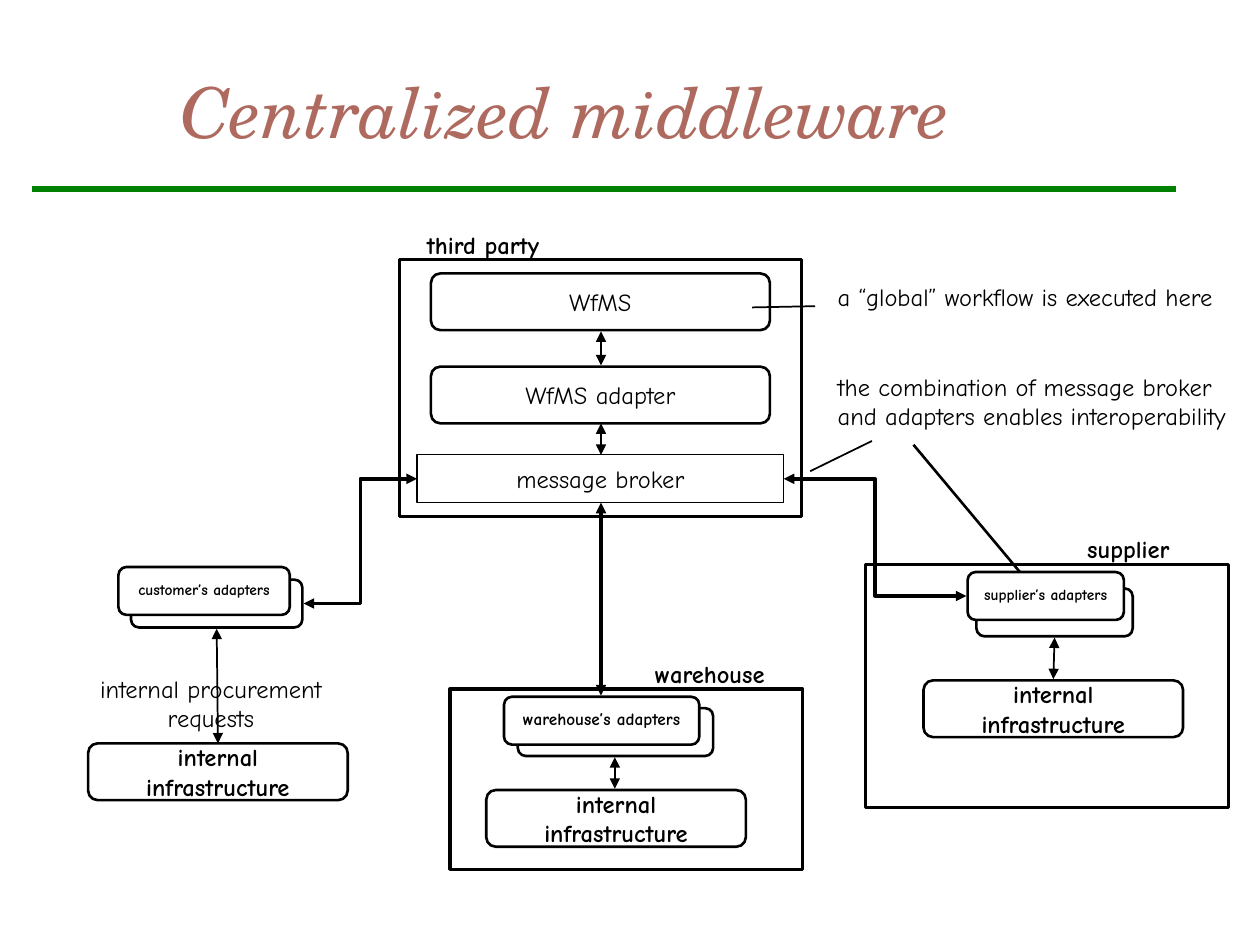
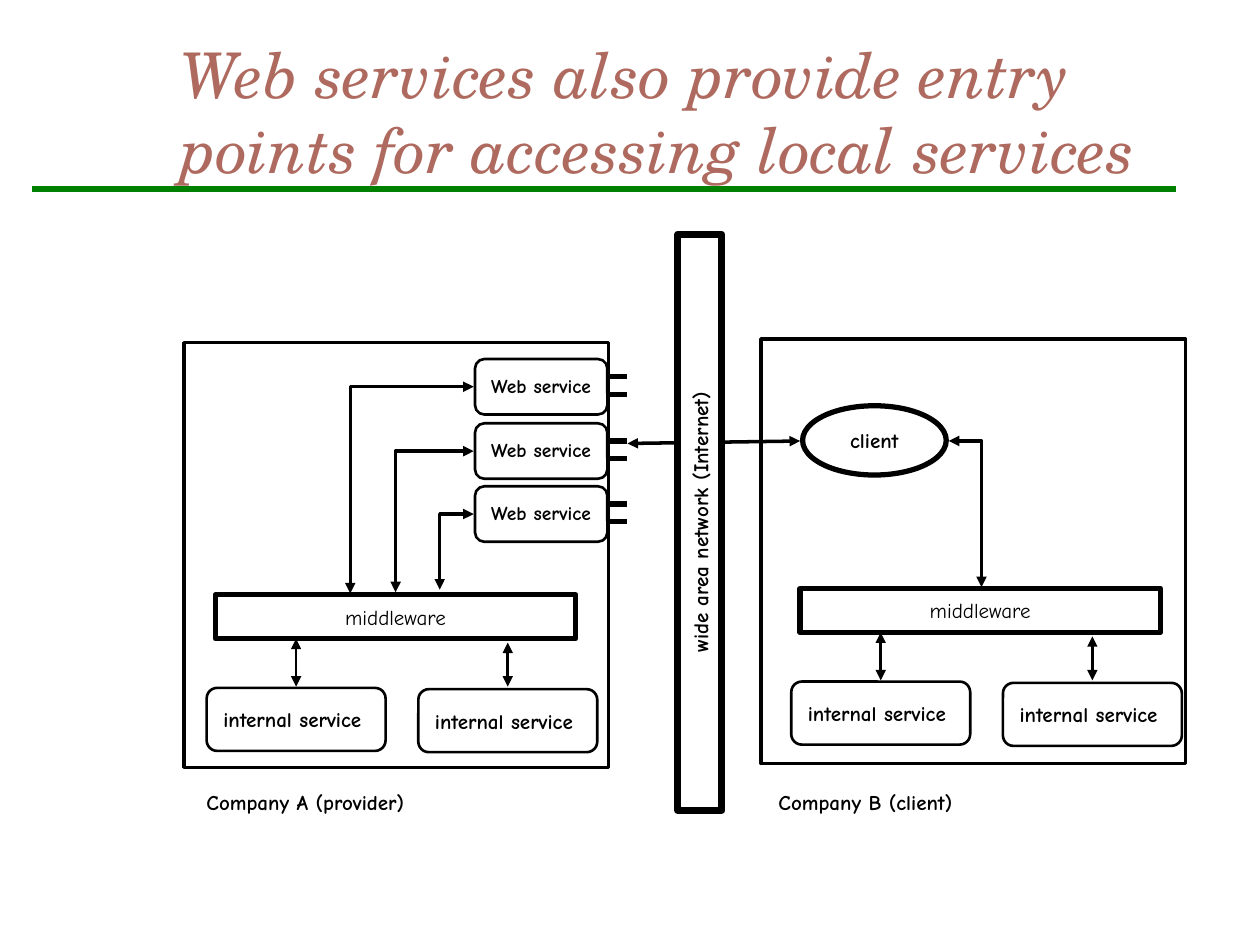
import pptx
import pptx.dml.color
import pptx.enum.shapes
import pptx.enum.text
import pptx.oxml.ns
import pptx.util
from lxml import etree

Inches = pptx.util.Inches
Pt = pptx.util.Pt
SHAPE = pptx.enum.shapes.MSO_SHAPE
CONNECTOR = pptx.enum.shapes.MSO_CONNECTOR
ALIGN = pptx.enum.text.PP_ALIGN
ANCHOR = pptx.enum.text.MSO_ANCHOR
qn = pptx.oxml.ns.qn

COLOURS = {
    name: pptx.dml.color.RGBColor.from_string(value)
    for name, value in {"title": "AF6A5F", "rule": "008000", "ink": "000000", "paper": "FFFFFF"}.items()
}
TITLE_FONT = "TeX Gyre Schola"
BODY_FONT = "Comic Neue"


def add_box(slide, place, text="", size=14, bold=False, kind=SHAPE.RECTANGLE, line=None,
            filled=False, wrap=False, centred=True, spacing=None):
    lengths = [Inches(value) for value in place]
    if line:
        shape = slide.shapes.add_shape(kind, *lengths)
        shape.shadow.inherit = False
        shape.line.color.rgb = COLOURS["ink"]
        shape.line.width = Pt(line)
        if filled:
            shape.fill.solid()
            shape.fill.fore_color.rgb = COLOURS["paper"]
        else:
            shape.fill.background()
    else:
        shape = slide.shapes.add_textbox(*lengths)
    frame = shape.text_frame
    frame.word_wrap = wrap
    frame.vertical_anchor = ANCHOR.MIDDLE if line else ANCHOR.TOP
    if text:
        frame.text = text
    for paragraph in frame.paragraphs:
        paragraph.alignment = ALIGN.CENTER if centred else ALIGN.LEFT
        paragraph.line_spacing = spacing
        paragraph.font.name = BODY_FONT
        paragraph.font.size = Pt(size)
        paragraph.font.bold = bold
        paragraph.font.color.rgb = COLOURS["ink"]
    return shape


def add_line(slide, start, end, width, arrows=True, bend=None, colour="ink"):
    kind = CONNECTOR.ELBOW if bend else CONNECTOR.STRAIGHT
    connector = slide.shapes.add_connector(kind, *[Inches(value) for value in start + end])
    connector.line.color.rgb = COLOURS[colour]
    connector.line.width = Pt(width)
    properties = connector._element.spPr
    if bend:
        properties.prstGeom.set("prst", bend)
        if end[0] < start[0]:
            transform = properties.xfrm
            transform.rot = 180
            transform.flipH = False
            transform.flipV = not transform.flipV
    if arrows:
        outline = properties.find(qn("a:ln"))
        for tag in ("a:headEnd", "a:tailEnd"):
            etree.SubElement(outline, qn(tag), type="triangle")
    etree.SubElement(properties, qn("a:effectLst"))
    return connector


presentation = pptx.Presentation()
presentation.slide_width = Inches(10)
presentation.slide_height = Inches(7.5)
layout = presentation.slide_layouts[5]
layout_title = layout.placeholders[0]
layout_title.left, layout_title.top = Inches(1.33), Inches(0.42)
layout_title.width, layout_title.height = Inches(8.5), Inches(0.92)

slides = []
for title_text, title_size in [
    ("Centralized middleware", 40),
    ("Web services also provide entry \vpoints for accessing local services", 36),
]:
    slide = presentation.slides.add_slide(layout)
    frame = slide.shapes.title.text_frame
    frame.text = title_text
    frame.auto_size = pptx.enum.text.MSO_AUTO_SIZE.NONE
    frame.vertical_anchor = ANCHOR.MIDDLE
    paragraph = frame.paragraphs[0]
    paragraph.alignment = ALIGN.LEFT
    paragraph.font.name = TITLE_FONT
    paragraph.font.size = Pt(title_size)
    paragraph.font.italic = True
    paragraph.font.color.rgb = COLOURS["title"]
    slides.append(slide)
broker_slide, services_slide = slides

rule = add_line(broker_slide, (0.25, 1.5), (9.33, 1.5), 4, arrows=False, colour="rule")
layout.shapes._spTree.append(rule._element)

for place in [(3.57, 5.47, 2.8, 1.43), (6.87, 4.48, 2.88, 1.93), (3.17, 2.06, 3.19, 2.04)]:
    add_box(broker_slide, place, line=2)

for start, end, width in [
    ((8.37, 5.06), (8.36, 5.39), 1),
    ((4.88, 6.01), (4.88, 6.26), 1),
    ((1.73, 5.9), (1.72, 4.99), 1),
    ((4.77, 2.63), (4.77, 2.9), 1),
    ((4.77, 3.61), (4.77, 3.36), 1),
    ((4.77, 5.52), (4.77, 3.99), 2),
]:
    add_line(broker_slide, start, end, width)
for adapter, broker_side in [((2.41, 4.79), (3.31, 3.8)), ((7.67, 4.73), (6.22, 3.8))]:
    add_line(broker_slide, adapter, broker_side, 2, bend="bentConnector3")
for start, end, width in [
    ((5.97, 2.44), (6.47, 2.43), 1),
    ((6.43, 3.74), (6.92, 3.5), 1),
    ((7.25, 3.53), (8.17, 4.63), 1.5),
]:
    add_line(broker_slide, start, end, width, arrows=False)

for left, top in [(7.33, 5.4), (3.86, 6.27), (0.7, 5.9)]:
    add_box(broker_slide, (left, top, 2.06, 0.45), "internal infrastructure", bold=True,
            kind=SHAPE.ROUNDED_RECTANGLE, line=1.5, wrap=True)
for top, text in [(2.17, "WfMS"), (2.91, "WfMS adapter")]:
    add_box(broker_slide, (3.42, top, 2.69, 0.45), text, kind=SHAPE.ROUNDED_RECTANGLE, line=1.5)
add_box(broker_slide, (3.31, 3.61, 2.91, 0.38), "message broker", line=0.75)

for front, back, width, text, size in [
    ((0.94, 4.5), (1.04, 4.6), 1.36, "customer’s adapters", 8.8),
    ((4, 5.53), (4.11, 5.62), 1.55, "warehouse’s adapters", 9.8),
    ((7.68, 4.54), (7.75, 4.67), 1.24, "supplier’s adapters", 8.8),
]:
    for corner, label in [(back, ""), (front, text)]:
        add_box(broker_slide, (*corner, width, 0.38), label, size, True,
                SHAPE.ROUNDED_RECTANGLE, 1.5, filled=True, spacing=0.8)

for left, top, width, text in [
    (3.29, 1.78, 1.2, "third party"),
    (8.53, 4.19, 1, "supplier"),
    (5.1, 5.18, 1.2, "warehouse"),
]:
    add_box(broker_slide, (left, top, width, 0.34), text, bold=True, wrap=True, centred=False)
for place, text in [
    ((6.55, 2.19, 3.45, 0.34), "a “global” workflow is executed here"),
    ((6.55, 2.9, 3.45, 0.57),
     "the combination of message broker and adapters enables interoperability"),
]:
    add_box(broker_slide, place, text, wrap=True, centred=False)
add_box(broker_slide, (0.69, 5.3, 1.97, 0.57), "internal procurement\nrequests")

add_line(services_slide, (6.35, 3.5), (4.98, 3.52), 2)
add_box(services_slide, (3.27, 3.97, 4.57, 0.35), "wide area network (Internet)", 12, True,
        line=4, filled=True).rotation = 270

for left, top, middleware_left, middleware_top, caption_left, caption in [
    (1.46, 2.72, 1.71, 4.72, 1.54, "Company A (provider)"),
    (6.04, 2.69, 6.35, 4.67, 6.08, "Company B (client)"),
]:
    add_box(services_slide, (left, top, 3.37, 3.37), line=2)
    add_box(services_slide, (middleware_left, middleware_top, 2.86, 0.35), "middleware", 12, line=3)
    for arrow_offset, arrow_gap, service_offset, service_gap in [
        (0.64, 0.35, -0.07, 0.74),
        (2.32, 0.38, 1.61, 0.75),
    ]:
        arrow_left = middleware_left + arrow_offset
        add_line(services_slide, (arrow_left, middleware_top + arrow_gap),
                 (arrow_left, middleware_top + 0.73), 1.5)
        add_box(services_slide,
                (middleware_left + service_offset, middleware_top + service_gap, 1.42, 0.5),
                "internal service ", 12, True, SHAPE.ROUNDED_RECTANGLE, 1.5)
    add_box(services_slide, (caption_left, 6.22, 2, 0.3), caption, 12, True,
            wrap=True, centred=False)

for top, bend_left, bend_bottom in [(3.86, 3.49, 4.68), (3.36, 3.14, 4.7), (2.85, 2.78, 4.71)]:
    add_box(services_slide, (3.77, top, 1.05, 0.44), "Web service", 11.1, True,
            SHAPE.ROUNDED_RECTANGLE, 1.5, filled=True, spacing=0.9)
    for port_top in (top + 0.14, top + 0.28):
        add_line(services_slide, (4.84, port_top), (4.98, port_top), 3, arrows=False)
    add_line(services_slide, (3.76, top + 0.22), (bend_left, bend_bottom), 2, bend="bentConnector2")

add_box(services_slide, (6.37, 3.22, 1.14, 0.55), "client", 12, True, SHAPE.OVAL, 3, filled=True)
add_line(services_slide, (7.53, 3.5), (7.79, 4.66), 2, bend="bentConnector2")

presentation.save("out.pptx")
